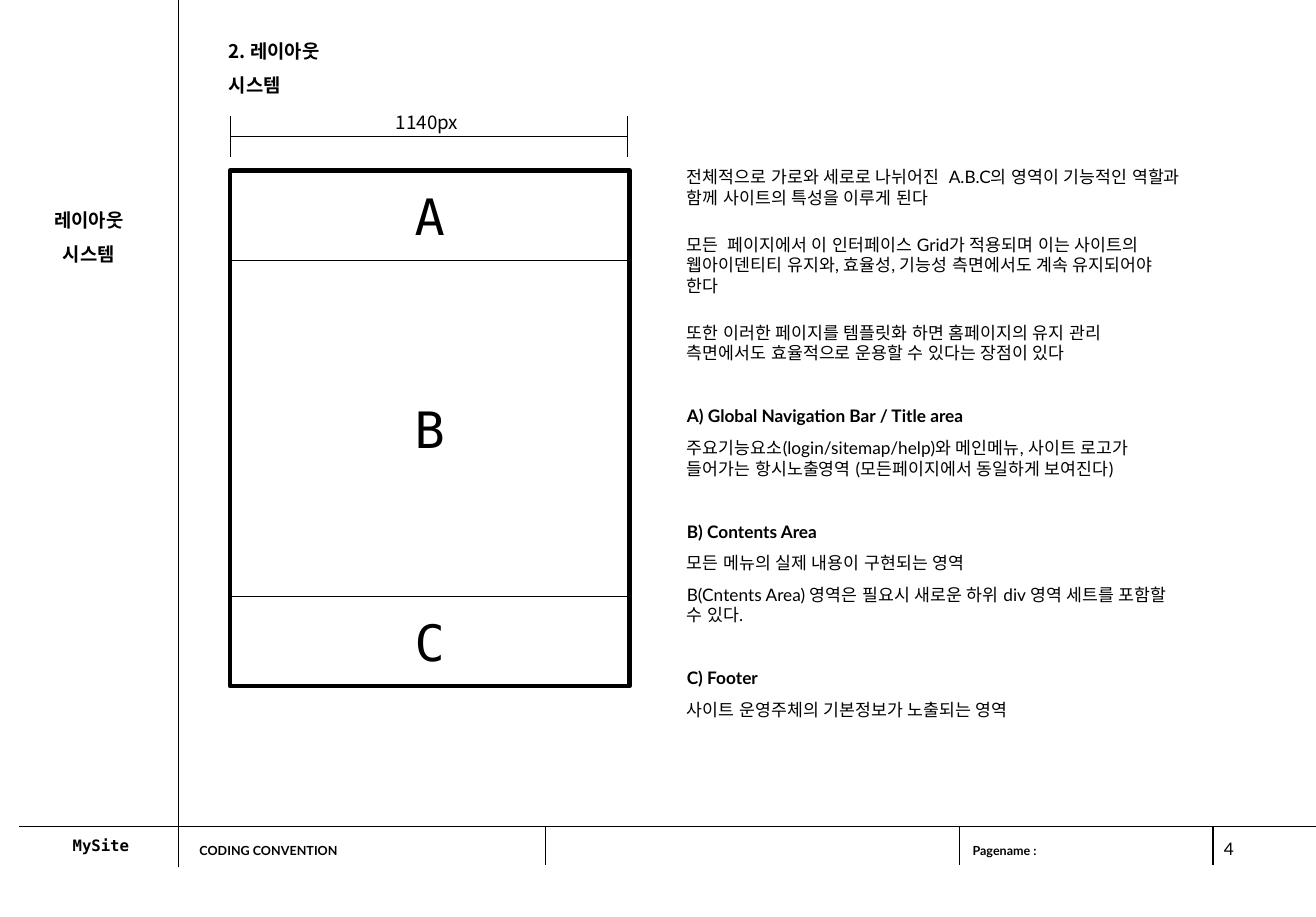
import pptx
import pptx.dml.color
import pptx.enum.shapes
import pptx.enum.text
import pptx.oxml.ns
import pptx.util
from lxml import etree

Cm = pptx.util.Cm
Pt = pptx.util.Pt
ALIGN = pptx.enum.text.PP_ALIGN
SANS, KOREAN, MONO = "Lato", "Noto Sans CJK KR", "DejaVu Sans Mono"
BLACK, WHITE = "000000", "FFFFFF"


def color(value):
    return pptx.dml.color.RGBColor.from_string(value)


class Page:
    """Style and drawing methods for one slide; lengths are in centimetres."""

    def __init__(self, slide):
        self.shapes = slide.shapes
        self.ink = BLACK

    def line(self, x1, y1, x2, y2, width=0.5):
        connector = self.shapes.add_connector(
            pptx.enum.shapes.MSO_CONNECTOR.STRAIGHT, Cm(x1), Cm(y1), Cm(x2), Cm(y2))
        connector.line.width = Pt(width)
        connector.line.color.rgb = color(self.ink)
        properties = connector._element.spPr
        etree.SubElement(properties, pptx.oxml.ns.qn("a:effectLst"))

    def box(self, left, top, width, height, fill=None, border=None):
        shape = self.shapes.add_shape(
            pptx.enum.shapes.MSO_SHAPE.RECTANGLE, Cm(left), Cm(top), Cm(width), Cm(height))
        shape.shadow.inherit = False
        if fill:
            shape.fill.solid()
            shape.fill.fore_color.rgb = color(fill)
        else:
            shape.fill.background()
        if border:
            shape.line.width = Pt(border)
            shape.line.color.rgb = color(self.ink)
        else:
            shape.line.fill.background()
        shape.text_frame.vertical_anchor = pptx.enum.text.MSO_ANCHOR.MIDDLE
        return shape

    def text(self, left, top, width, height, wrap=True):
        shape = self.shapes.add_textbox(Cm(left), Cm(top), Cm(width), Cm(height))
        shape.text_frame.word_wrap = wrap
        shape.text_frame.auto_size = pptx.enum.text.MSO_AUTO_SIZE.SHAPE_TO_FIT_TEXT
        return shape

    def add_words(self, shape, words, size, font, bold=False, align=ALIGN.LEFT,
                  spacing=None, before=0):
        """Fill the first paragraph of a shape, or add one after its text."""
        frame = shape.text_frame
        paragraph = frame.add_paragraph() if frame.text else frame.paragraphs[0]
        paragraph.alignment = align
        paragraph.space_before = Pt(before)
        if spacing:
            paragraph.line_spacing = spacing
        run = paragraph.add_run()
        run.text = words
        run.font.size = Pt(size)
        run.font.bold = bold
        run.font.name = font
        run.font.color.rgb = color(self.ink)
        east_asian = etree.SubElement(run.font._element, pptx.oxml.ns.qn("a:ea"))
        east_asian.set("typeface", font)


def draw_footer(page):
    top, bottom = 18.62, 19.48
    page.add_words(page.text(4.24, 18.85, 7.62, 0.61), "CODING CONVENTION", 8, SANS, True)
    for x, width in ((12.27, 0.25), (21.59, 0.25), (27.3, 0.75)):
        page.line(x, top, x, bottom, width)
    page.add_words(page.text(21.64, 18.87, 2.16, 0.61, False), "Pagename :", 8, SANS, True)
    page.add_words(page.text(27.3, 18.75, 1.27, 0.79), "4", 11, SANS)
    site = page.box(0.43, top, 3.68, 0.84, fill=WHITE)
    page.add_words(site, "MySite", 10, MONO, True, ALIGN.CENTER)
    page.line(0.43, top, 29.62, top, 0.75)


def draw_headings(page):
    page.line(4.01, 19.53, 4.01, 0)
    sidebar = page.text(0.97, 4.32, 2.06, 1.78, False)
    for words in ("레이아웃", "시스템"):
        page.add_words(sidebar, words, 12, KOREAN, True, ALIGN.CENTER, 1.5)
    title = page.text(4.9, 0.51, 3.3, 1.78)
    page.add_words(title, "2. 레이아웃 시스템", 12, KOREAN, True, spacing=1.5)


def draw_layout(page):
    left, top, width = 5.18, 3.84, 8.99
    areas = (("A", 2.02), ("B", 7.57), ("C", 2.02))
    page.box(left, top, width, sum(height for _, height in areas), border=3)
    for letter, height in areas:
        area = page.box(left, top, width, height, border=0.5)
        page.add_words(area, letter, 32, MONO, align=ALIGN.CENTER)
        top += height

    # Dimension line with its end marks
    right = 14.12
    for x in (left, right):
        page.line(x, 2.62, x, 3.53)
    page.line(left, 3.07, right, 3.07)
    label = page.text(8.66, 2.11, 1.96, 1.02, False)
    page.add_words(label, "1140px", 12, KOREAN, spacing=1.5)


def draw_description(page):
    # Style: bold, space before
    intro, heading, detail = (False, 16.5), (True, 27), (False, 6.9)
    paragraphs = (
        (intro, "전체적으로 가로와 세로로 나뉘어진  A.B.C의 영역이 기능적인 역할과 함께 "
                "사이트의 특성을 이루게 된다"),
        (intro, "모든  페이지에서 이 인터페이스 Grid가 적용되며 이는 사이트의 "
                "웹아이덴티티 유지와, 효율성, 기능성 측면에서도 계속 유지되어야 한다"),
        (intro, "또한 이러한 페이지를 템플릿화 하면 홈페이지의 유지 관리 "
                "측면에서도 효율적으로 운용할 수 있다는 장점이 있다"),
        (heading, "A) Global Navigation Bar / Title area"),
        (detail, "주요기능요소(login/sitemap/help)와 메인메뉴, 사이트 로고가 들어가는 "
                 "항시노출영역 (모든페이지에서 동일하게 보여진다)"),
        (heading, "B) Contents Area"),
        (detail, "모든 메뉴의 실제 내용이 구현되는 영역"),
        (detail, "B(Cntents Area) 영역은 필요시 새로운 하위 div 영역 세트를 포함할 수 있다."),
        (heading, "C) Footer"),
        (detail, "사이트 운영주체의 기본정보가 노출되는 영역"),
    )
    body = page.text(15.21, 3.63, 11.63, 12.7)
    for (bold, before), words in paragraphs:
        page.add_words(body, words, 11, SANS, bold, before=before)


def main():
    presentation = pptx.Presentation()
    presentation.slide_width = Cm(29.62)
    presentation.slide_height = Cm(20.65)
    page = Page(presentation.slides.add_slide(presentation.slide_layouts[6]))
    draw_footer(page)
    draw_headings(page)
    draw_layout(page)
    draw_description(page)
    presentation.save("out.pptx")


if __name__ == "__main__":
    main()
